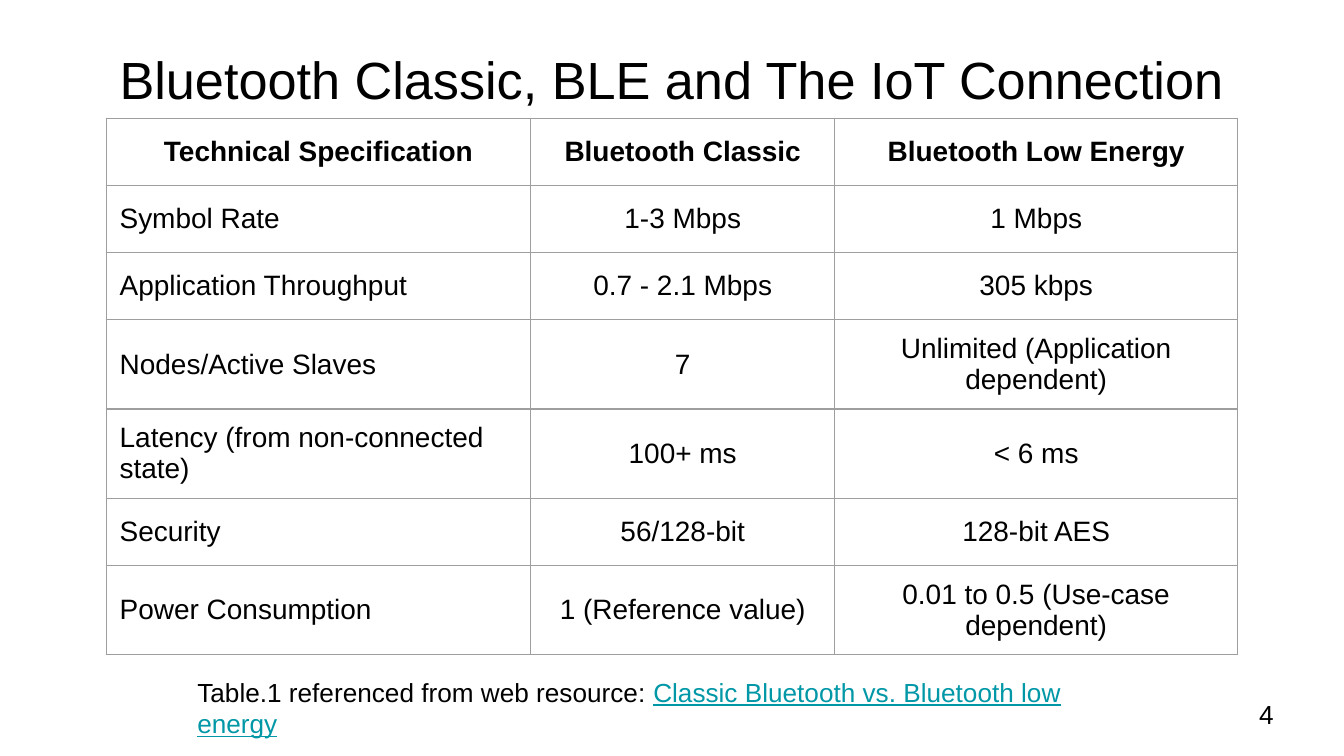
from lxml import etree
from pptx import Presentation
from pptx.dml.color import RGBColor
from pptx.enum.text import MSO_ANCHOR, MSO_AUTO_SIZE, PP_ALIGN
from pptx.oxml.ns import qn
from pptx.util import Inches, Pt

LEFT, CENTER = PP_ALIGN.LEFT, PP_ALIGN.CENTER
TOP, MIDDLE = MSO_ANCHOR.TOP, MSO_ANCHOR.MIDDLE
NO_AUTOFIT = MSO_AUTO_SIZE.NONE

BLACK = RGBColor(0x00, 0x00, 0x00)
LINK_TEAL = RGBColor(0x00, 0x97, 0xA7)
BORDER_GRAY = RGBColor(0x9E, 0x9E, 0x9E)

WIDTH = Inches(10)
HEIGHT = WIDTH * 9 // 16
INSET = Inches(0.1)

COLUMN_WIDTHS = (3.16, 2.26, 3)
SINGLE_ROW, DOUBLE_ROW = 0.5, 0.63
SPECIFICATIONS = [
    (SINGLE_ROW, "Technical Specification", "Bluetooth Classic", "Bluetooth Low Energy"),
    (SINGLE_ROW, "Symbol Rate", "1-3 Mbps", "1 Mbps"),
    (SINGLE_ROW, "Application Throughput", "0.7 - 2.1 Mbps", "305 kbps"),
    (DOUBLE_ROW, "Nodes/Active Slaves", "7", "Unlimited (Application dependent)"),
    (DOUBLE_ROW, "Latency (from non-connected state)", "100+ ms", "< 6 ms"),
    (SINGLE_ROW, "Security", "56/128-bit", "128-bit AES"),
    (DOUBLE_ROW, "Power Consumption", "1 (Reference value)",
     "0.01 to 0.5 (Use-case dependent)"),
]


def add_text(para, text, size=14, color=BLACK, bold=False, underline=False,
             align=LEFT, font="Arial"):
    para.alignment = align
    span = para.add_run()
    span.text = text
    span.font.name = font
    span.font.size = Pt(size)
    span.font.color.rgb = color
    span.font.bold = bold
    span.font.underline = underline


class SlideBuilder:
    """Holds the table style and the current slide; places are percent of its size."""

    table_size = 15
    border_width = Pt(0.75)

    def __init__(self, deck):
        self.slide = deck.slides.add_slide(deck.slide_layouts[5])

    def place(self, x, y, width, height):
        return (round(x * WIDTH / 100), round(y * HEIGHT / 100),
                round(width * WIDTH / 100), round(height * HEIGHT / 100))

    def set_frame(self, frame, anchor):
        frame.word_wrap = True
        frame.auto_size = NO_AUTOFIT
        frame.vertical_anchor = anchor
        frame.margin_left = frame.margin_right = INSET
        frame.margin_top = frame.margin_bottom = INSET

    def title(self, text, *percent):
        box = self.slide.shapes.title
        box.left, box.top, box.width, box.height = self.place(*percent)
        self.set_frame(box.text_frame, TOP)
        add_text(box.text_frame.paragraphs[0], text, size=28, align=CENTER)

    def text_box(self, *percent, anchor=TOP):
        box = self.slide.shapes.add_textbox(*self.place(*percent))
        self.set_frame(box.text_frame, anchor)
        return box.text_frame.paragraphs[0]

    def border(self, cell):
        properties = cell._tc.get_or_add_tcPr()
        for index, side in enumerate(("a:lnL", "a:lnR", "a:lnT", "a:lnB")):
            line = etree.Element(qn(side), w=str(self.border_width))
            fill = etree.SubElement(line, qn("a:solidFill"))
            etree.SubElement(fill, qn("a:srgbClr"), val=str(BORDER_GRAY))
            properties.insert(index, line)

    def table(self, rows, widths, *percent):
        table = self.slide.shapes.add_table(
            len(rows), len(widths), *self.place(*percent)).table
        table.first_row = table.horz_banding = False
        for column, width in zip(table.columns, widths):
            column.width = Inches(width)
        for row_index, (height, *texts) in enumerate(rows):
            table.rows[row_index].height = Inches(height)
            header = row_index == 0
            for column_index, text in enumerate(texts):
                cell = table.cell(row_index, column_index)
                cell.fill.background()
                cell.vertical_anchor = MIDDLE
                cell.margin_left = cell.margin_right = INSET
                cell.margin_top = cell.margin_bottom = INSET
                self.border(cell)
                add_text(cell.text_frame.paragraphs[0], text,
                         size=self.table_size, bold=header,
                         align=CENTER if header or column_index else LEFT)


def main():
    deck = Presentation()
    deck.slide_width, deck.slide_height = WIDTH, HEIGHT
    page = SlideBuilder(deck)

    # Heading
    page.title("Bluetooth Classic, BLE and The IoT Connection",
               5.9, 4.44, 88.1, 11.2)

    # Source line
    caption = page.text_box(13.7, 87.64, 72.6, 6.93)
    add_text(caption, "Table.1 referenced from web resource: ")
    add_text(caption, "Classic Bluetooth vs. Bluetooth low energy",
             color=LINK_TEAL, underline=True)

    # Comparison table
    page.table(SPECIFICATIONS, COLUMN_WIDTHS, 7.9, 15.64, 84.2, 72.71)

    # Page number
    add_text(page.text_box(92.7, 90.67, 6, 7.64, anchor=MIDDLE), "4")

    deck.save("out.pptx")


if __name__ == "__main__":
    main()
